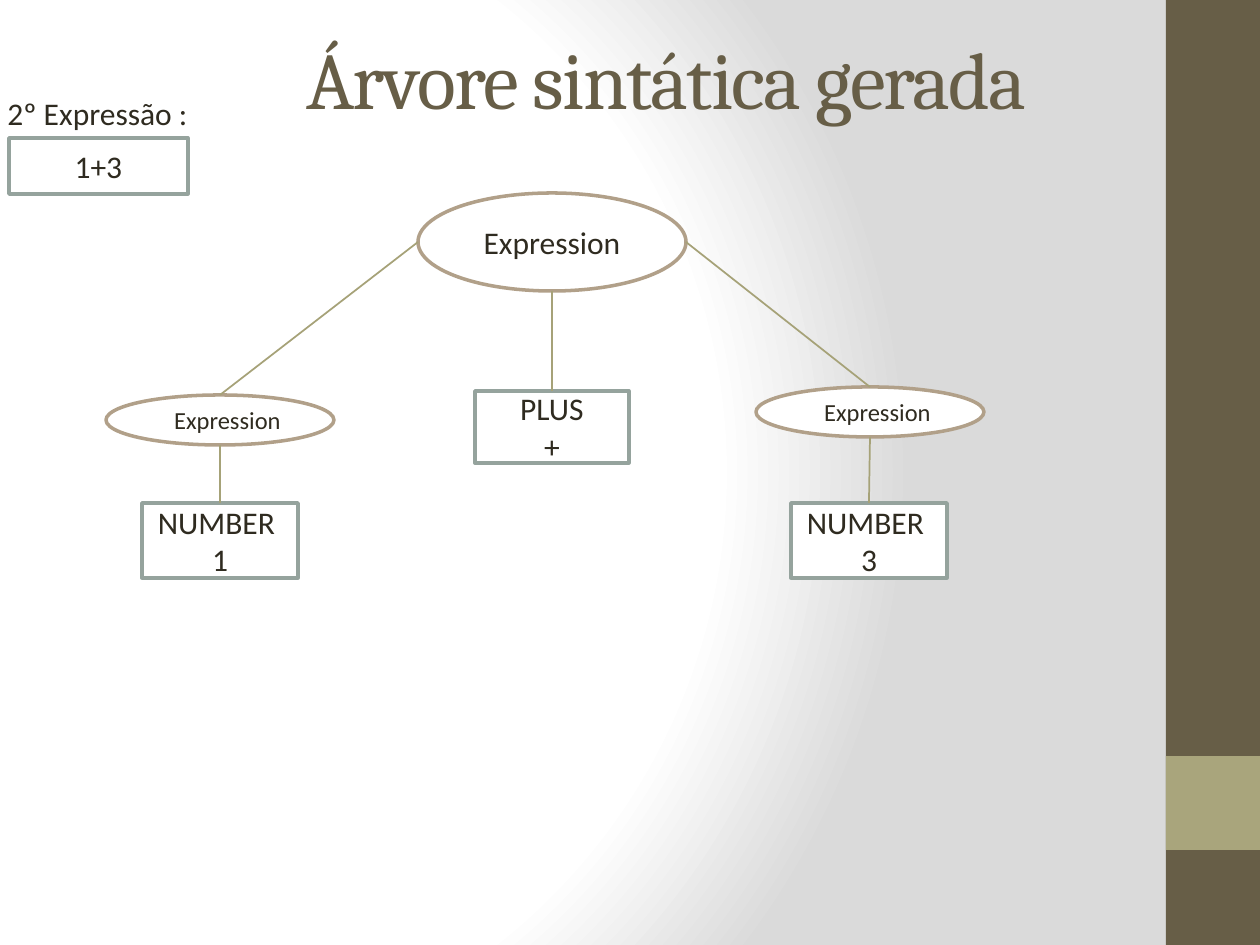
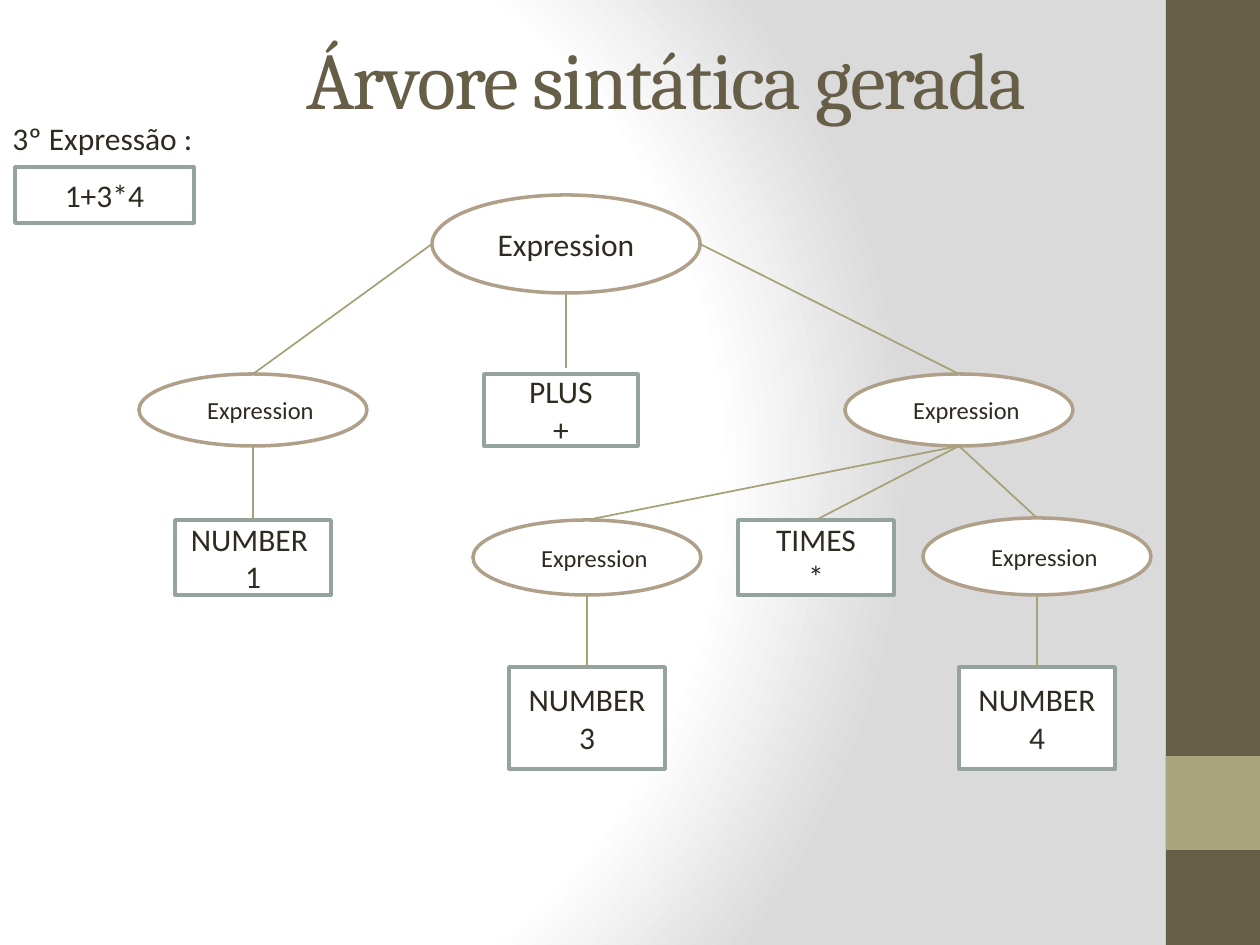
from dataclasses import dataclass

from lxml import etree
from pptx import Presentation
from pptx.dml.color import RGBColor
from pptx.enum.shapes import MSO_CONNECTOR, MSO_SHAPE
from pptx.enum.text import MSO_ANCHOR, MSO_AUTO_SIZE, PP_ALIGN
from pptx.oxml import parse_xml
from pptx.oxml.ns import nsdecls, qn
from pptx.util import Emu, Pt

RECT, ELLIPSE = MSO_SHAPE.RECTANGLE, MSO_SHAPE.OVAL
STRAIGHT = MSO_CONNECTOR.STRAIGHT
CENTER, MIDDLE = PP_ALIGN.CENTER, MSO_ANCHOR.MIDDLE
TOP, LEFT, BOTTOM, RIGHT = range(4)
SCALE = 914400 / 126


@dataclass(frozen=True)
class Theme:
    band: str = "675E47"
    band_accent: str = "A9A57C"
    title: str = "675E47"
    text: str = "2F2B20"
    node_fill: str = "FFFFFF"
    rule_line: str = "B1A089"
    token_line: str = "95A39D"
    branch: str = "A6A278"
    glow: str = "FFFFFF"
    edge: str = "DADADA"
    heading_font: str = "Cambria"
    body_font: str = "Calibri"
    title_size: int = 46
    body_size: int = 18
    small_size: int = 14


THEME = Theme()


def px(n):
    return Emu(round(n * SCALE))


def rgb(value):
    return RGBColor.from_string(value)


def set_background(master):
    """Give every slide a radial gradient that glows from the left."""
    master.background.fill.solid()
    bg = master.element.find(".//" + qn("p:bgPr"))
    stops = ((0, THEME.glow), (75, THEME.glow), (100, THEME.edge))
    gs = "".join(f'<a:gs pos="{pos * 1000}"><a:srgbClr val="{color}"/></a:gs>'
                 for pos, color in stops)
    bg.replace(bg[0], parse_xml(
        f'<a:gradFill {nsdecls("a")} rotWithShape="1"><a:gsLst>{gs}</a:gsLst>'
        '<a:path path="circle"><a:fillToRect l="20000" t="50000" r="100000" b="50000"/>'
        '</a:path></a:gradFill>'))


def write(tf, lines, size, color=THEME.text, font=THEME.body_font, align=None):
    for i, line in enumerate(lines):
        p = tf.add_paragraph() if i else tf.paragraphs[0]
        p.text = line
        p.alignment = align
        p.font.name, p.font.size = font, Pt(size)
        p.font.color.rgb = rgb(color)


def add_box(s, kind, box, fill, line=None):
    sp = s.shapes.add_shape(kind, *map(px, box))
    sp.shadow.inherit = False
    sp.fill.solid()
    sp.fill.fore_color.rgb = rgb(fill)
    if line:
        sp.line.color.rgb = rgb(line)
        sp.line.width = Pt(2)
    else:
        sp.line.fill.background()
    return sp


def add_token(s, x, y, w, h, *lines):
    sp = add_box(s, RECT, (x, y, w, h), THEME.node_fill, THEME.token_line)
    write(sp.text_frame, lines, THEME.body_size, align=CENTER)
    return sp


def add_root(s, x, y):
    sp = add_box(s, ELLIPSE, (x, y, 268, 98), THEME.node_fill, THEME.rule_line)
    write(sp.text_frame, ["Expression"], THEME.body_size, align=CENTER)
    return sp


def add_expression(s, x, y, h):
    """Add an inner Expression node, with its text slightly indented."""
    sp = add_box(s, ELLIPSE, (x, y, 228, h), THEME.node_fill, THEME.rule_line)
    write(sp.text_frame, ["Expression"], THEME.small_size, align=CENTER)
    p = sp.text_frame.paragraphs[0]
    p.space_before = Pt(3)
    pPr = p._p.get_or_add_pPr()
    pPr.set("marL", str(px(15)))
    pPr.set("indent", "0")
    return sp


def side_point(sp, side):
    mid_x, mid_y = sp.left + sp.width // 2, sp.top + sp.height // 2
    return {TOP: (mid_x, sp.top), LEFT: (sp.left, mid_y),
            BOTTOM: (mid_x, sp.top + sp.height),
            RIGHT: (sp.left + sp.width, mid_y)}[side]


def add_line(s, start, end):
    line = s.shapes.add_connector(STRAIGHT, *start, *end)
    line.line.color.rgb = rgb(THEME.branch)
    line.line.width = Pt(1)
    etree.SubElement(line._element.spPr, qn("a:effectLst"))
    return line


def add_branch(s, parent, child, side=BOTTOM):
    """Draw a line from one side of parent to the top of child."""
    line = add_line(s, side_point(parent, side), side_point(child, TOP))
    if child.auto_shape_type == RECT:
        line.end_connect(child, TOP)


def add_title(s, text):
    tf = s.shapes.add_textbox(*map(px, (223, 28, 903, 99))).text_frame
    tf.word_wrap = True
    tf.vertical_anchor = MIDDLE
    write(tf, [text], THEME.title_size, THEME.title, THEME.heading_font, CENTER)
    tf.paragraphs[0].runs[0].font._element.set("spc", "-100")


def add_label(s, x, y, text):
    tf = s.shapes.add_textbox(*map(px, (x, y, 208, 50))).text_frame
    tf.word_wrap = False
    tf.auto_size = MSO_AUTO_SIZE.SHAPE_TO_FIT_TEXT
    write(tf, [text], THEME.body_size)


def new_slide(prs):
    s = prs.slides.add_slide(prs.slide_layouts[6])
    add_box(s, RECT, (1166, 0, 94, 945), THEME.band)
    add_box(s, RECT, (1166, 756, 94, 94), THEME.band_accent)
    add_title(s, "Árvore sintática gerada ")
    return s


def build_sum_tree(prs):
    s = new_slide(prs)
    add_label(s, -5, 88, "2º Expressão :")
    add_token(s, 9, 138, 179, 56, "1+3")

    root = add_root(s, 418, 193)
    left = add_expression(s, 106, 395, 50)
    right = add_expression(s, 756, 387, 50)
    plus = add_token(s, 475, 391, 154, 72, "PLUS", "+")
    one = add_token(s, 142, 503, 156, 75, "NUMBER ", "1")
    three = add_token(s, 791, 503, 156, 75, "NUMBER ", "3")

    add_branch(s, root, left, LEFT)
    add_branch(s, root, plus)
    add_branch(s, root, right, RIGHT)
    add_branch(s, left, one)
    add_branch(s, right, three)


def build_product_tree(prs):
    s = new_slide(prs)
    add_label(s, 0, 113, "3º Expressão :")
    add_token(s, 15, 167, 179, 56, "1+3*4")

    root = add_root(s, 432, 195)
    left = add_expression(s, 139, 374, 72)
    right = add_expression(s, 845, 374, 72)
    factor_left = add_expression(s, 473, 520, 75)
    factor_right = add_expression(s, 923, 518, 77)
    add_token(s, 484, 374, 154, 72, "PLUS", "+")
    times = add_token(s, 738, 520, 156, 75, "TIMES", "*")
    one = add_token(s, 175, 520, 156, 75, "NUMBER ", "1")
    three = add_token(s, 509, 667, 156, 102, "NUMBER", "3")
    four = add_token(s, 959, 667, 156, 102, "NUMBER", "4")

    add_branch(s, root, left, LEFT)
    add_branch(s, root, right, RIGHT)
    stem_x, stem_y = side_point(root, BOTTOM)
    add_line(s, (stem_x, stem_y), (stem_x, stem_y + px(75)))
    for parent, child in ((left, one), (right, factor_left), (right, times),
                          (right, factor_right), (factor_left, three),
                          (factor_right, four)):
        add_branch(s, parent, child)


def main():
    prs = Presentation()
    prs.slide_width, prs.slide_height = px(1260), px(945)
    set_background(prs.slide_master)
    build_sum_tree(prs)
    build_product_tree(prs)
    prs.save("out.pptx")


if __name__ == "__main__":
    main()
